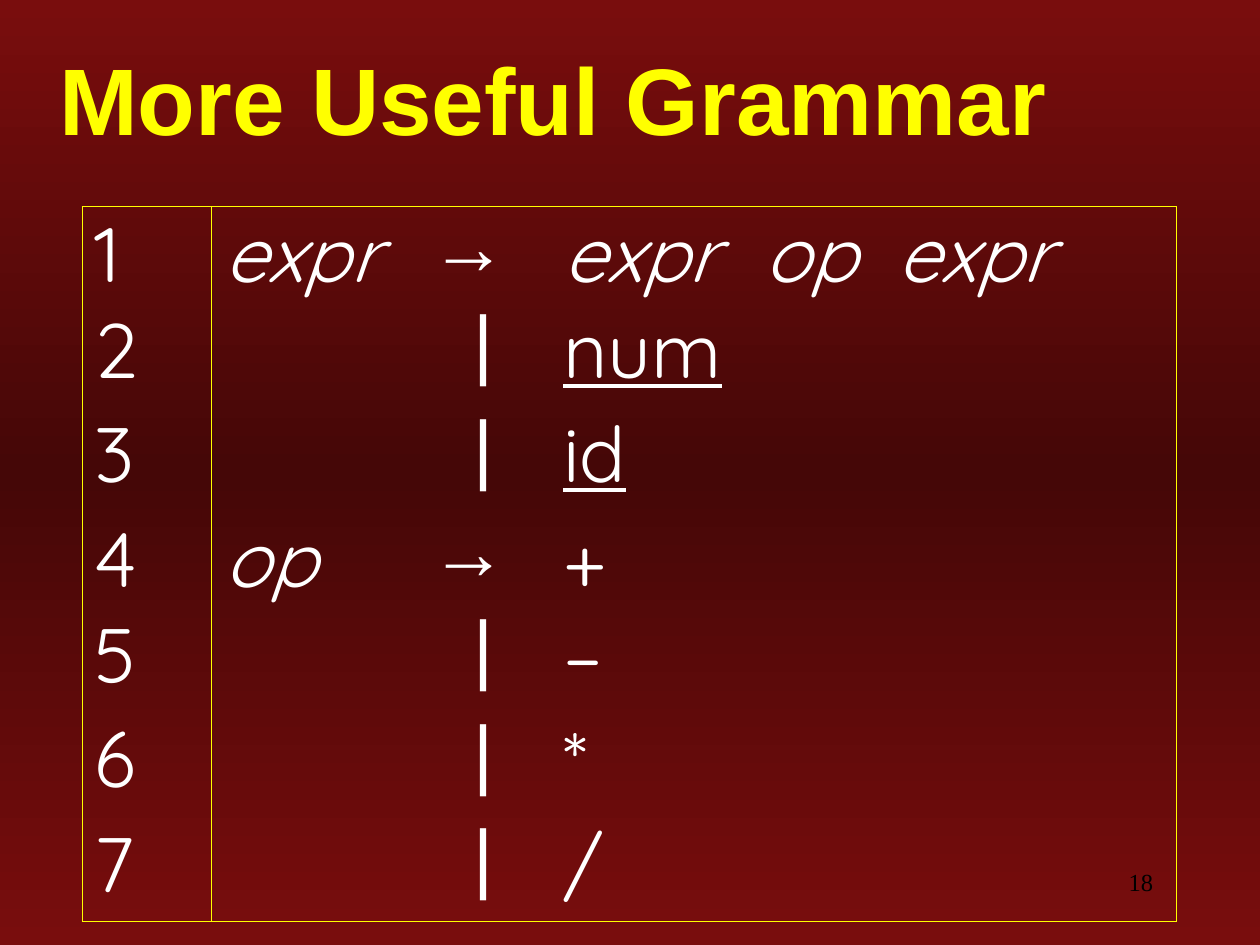
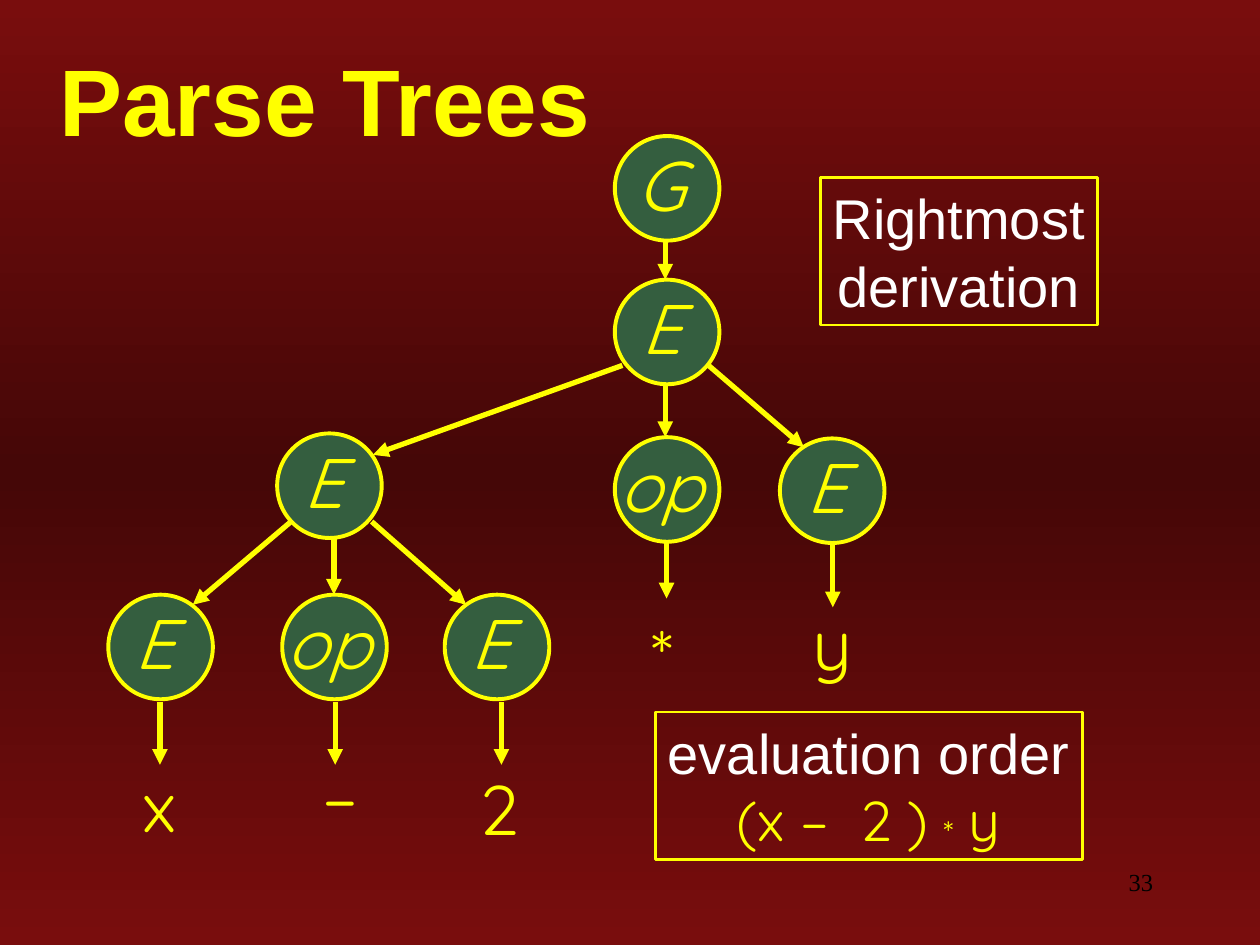
import copy

import pptx
import pptx.dml.color
import pptx.enum.shapes
import pptx.enum.text
import pptx.oxml
import pptx.oxml.ns
import pptx.util
from pptx.util import Inches

COLORS = {
    "red": "790D0D",
    "dark": "450707",
    "yellow": "FFFF00",
    "white": "FFFFFF",
    "black": "000000",
    "green": "345E3F",
    "glow": "DDDDDD",
}
ALIGN = pptx.enum.text.PP_ALIGN
ANCHOR = pptx.enum.text.MSO_ANCHOR
SHAPE = pptx.enum.shapes.MSO_SHAPE
NS = pptx.oxml.ns.nsdecls("a")
NO_STYLE = "{2D5ABB26-0587-4C30-8999-92F81FD0307C}"

TITLE = {"name": "Arial", "size": 54, "color": "yellow", "bold": True}
NUMBER = {"name": "Times New Roman", "size": 14, "color": "black"}
CELL = {"name": "Quicksand", "size": 44, "color": "white"}
SYMBOL = {**CELL, "name": "Arial"}
NODE = {"name": "Quicksand", "size": 40, "color": "yellow", "italic": True}
LEAF = {**NODE, "italic": False}
NOTE = {"name": "Arial", "size": 32, "color": "white"}
FORMULA = {"name": "Quicksand", "size": 32, "color": "yellow"}

RULES = [
    ("expr", "→", "expr\top\texpr"),
    ("", "|", "num"),
    ("", "|", "id"),
    ("op", "→", "+"),
    ("", "|", "–"),
    ("", "|", "*"),
    ("", "|", "/"),
]
COLUMN_WIDTHS = [1.03, 1.64, 1.05, 4.97]

NODE_SIZE = 0.83
NODES = [
    ("G", 4.88, 1.08),
    ("E", 4.88, 2.22),
    ("op", 4.88, 3.47),
    ("E", 6.19, 3.48),
    ("E", 2.2, 3.44),
    ("E", 0.86, 4.72),
    ("op", 2.24, 4.72),
    ("E", 3.53, 4.72),
]
LEAVES = [
    ("x", 1.03, 6),
    ("–", 2.46, 5.92),
    ("2", 3.71, 6.03),
    ("*", 5.07, 4.8),
    ("y", 6.35, 4.72),
]
BRANCHES = [
    (4.94, 2.9, 2.96, 3.61),
    (5.6, 2.88, 6.38, 3.55),
    (2.31, 4.14, 1.53, 4.8),
    (2.95, 4.14, 3.7, 4.8),
]
DROPS = [
    (5.28, 1.92, 0.3),
    (5.28, 2.97, 0.5),
    (5.29, 4.25, 0.5),
    (6.61, 4.32, 0.5),
    (2.65, 4.22, 0.5),
    (1.27, 5.57, 0.5),
    (2.66, 5.57, 0.5),
    (3.98, 5.57, 0.5),
]


def rgb(name):
    return pptx.dml.color.RGBColor.from_string(COLORS[name])


def add_run(p, text, style):
    r = p.add_run()
    r.text = text
    for key, value in style.items():
        if key == "color":
            r.font.color.rgb = rgb(value)
        elif key == "size":
            r.font.size = pptx.util.Pt(value)
        else:
            setattr(r.font, key, value)
    return r


def set_frame(tf, **values):
    for key, value in values.items():
        setattr(tf, key, value)


def set_background(prs):
    master = prs.slide_master
    fill = master.background.fill
    fill.gradient()
    fill.gradient_angle = 270
    for stop, name, position in zip(fill.gradient_stops, ("red", "dark"), (0, 0.5)):
        stop.color.rgb = rgb(name)
        stop.position = position
    gs_list = master.element.xpath(".//p:bgPr//a:gsLst")[0]
    last = copy.deepcopy(gs_list[0])
    last.set("pos", "100000")
    gs_list.append(last)


def add_textbox(slide, text, box, style, align=ALIGN.LEFT):
    sp = slide.shapes.add_textbox(*map(Inches, box))
    sp.text_frame.word_wrap = True
    p = sp.text_frame.paragraphs[0]
    p.alignment = align
    add_run(p, text, style)


def add_titled_slide(prs, title, top, number):
    slide = prs.slides.add_slide(prs.slide_layouts[5])
    sp = slide.shapes.title
    sp.left, sp.top, sp.width, sp.height = map(Inches, (0.37, top, 9.63, 0.83))
    set_frame(sp.text_frame, vertical_anchor=ANCHOR.MIDDLE, word_wrap=True,
              auto_size=pptx.enum.text.MSO_AUTO_SIZE.NONE)
    p = sp.text_frame.paragraphs[0]
    p.alignment = ALIGN.LEFT
    r = add_run(p, title, TITLE)
    shadow = pptx.oxml.parse_xml(
        f'<a:effectLst {NS}><a:outerShdw dist="17961" dir="2700000">'
        f'<a:srgbClr val="{COLORS["glow"]}"/></a:outerShdw></a:effectLst>')
    r.font.fill
    r.font.color.rgb = rgb("yellow")
    r.font._element.find(pptx.oxml.ns.qn("a:solidFill")).addnext(shadow)
    add_textbox(slide, number, (7.17, 6.83, 2.08, 0.5), NUMBER, ALIGN.RIGHT)
    return slide


def set_borders(cell, sides):
    tc_pr = cell._tc.get_or_add_tcPr()
    for i, side in enumerate("LRTB"):
        paint = (f'<a:solidFill><a:srgbClr val="{COLORS["yellow"]}"/></a:solidFill>'
                 if side in sides else "<a:noFill/>")
        tc_pr.insert(i, pptx.oxml.parse_xml(
            f'<a:ln{side} {NS} w="5715">{paint}</a:ln{side}>'))


def cell_style(col, text):
    if col == 2:
        return {**SYMBOL, "bold": text == "→"}
    return {**CELL, "italic": text.startswith(("expr", "op")),
            "underline": text in ("num", "id")}


def fill_cell(cell, col, text):
    cell.fill.background()
    if not text:
        return
    if text == "|":
        cell.margin_left = Inches(0.44)
    p = cell.text_frame.paragraphs[0]
    p.line_spacing = 0.9
    if "\t" in text:
        p._p.get_or_add_pPr().append(pptx.oxml.parse_xml(
            f"<a:tabLst {NS}>" + "".join(
                f'<a:tab pos="{Inches(stop)}" algn="l"/>' for stop in (1.6, 2.65))
            + "</a:tabLst>"))
    add_run(p, text, cell_style(col, text))


def add_grammar_table(slide):
    n_rows, n_cols = len(RULES), len(COLUMN_WIDTHS)
    frame = slide.shapes.add_table(
        n_rows, n_cols, *map(Inches, (0.65, 1.64, sum(COLUMN_WIDTHS), 5.67)))
    table = frame.table
    table.first_row = table.horz_banding = False
    table._tbl.tblPr.find(pptx.oxml.ns.qn("a:tableStyleId")).text = NO_STYLE
    for column, width in zip(table.columns, COLUMN_WIDTHS):
        column.width = Inches(width)
    for row, rule in enumerate(RULES):
        table.rows[row].height = Inches(0.76 if rule[0] else 0.83)
        for col, text in enumerate((str(row + 1), *rule)):
            cell = table.cell(row, col)
            fill_cell(cell, col, text)
            sides = ("L" if col < 2 else "") + ("R" if col in (0, n_cols - 1) else "")
            sides += ("T" if row == 0 else "") + ("B" if row == n_rows - 1 else "")
            set_borders(cell, sides)


def add_arrow(slide, x1, y1, x2, y2):
    line = slide.shapes.add_connector(
        pptx.enum.shapes.MSO_CONNECTOR.STRAIGHT, *map(Inches, (x1, y1, x2, y2)))
    line.line.color.rgb = rgb("yellow")
    line.line.width = pptx.util.Pt(3)
    line.line._get_or_add_ln().append(
        pptx.oxml.parse_xml(f'<a:tailEnd {NS} type="triangle"/>'))
    line._element.spPr.append(pptx.oxml.parse_xml(f"<a:effectLst {NS}/>"))


def add_outlined(slide, kind, box, width):
    sp = slide.shapes.add_shape(kind, *map(Inches, box))
    sp.shadow.inherit = False
    sp.line.color.rgb = rgb("yellow")
    sp.line.width = pptx.util.Pt(width)
    return sp


def add_node(slide, text, left, top):
    sp = add_outlined(slide, SHAPE.OVAL, (left, top, NODE_SIZE, NODE_SIZE), 2.25)
    sp.fill.solid()
    sp.fill.fore_color.rgb = rgb("green")
    set_frame(sp.text_frame, word_wrap=False, vertical_anchor=ANCHOR.MIDDLE,
              margin_left=0, margin_top=0,
              margin_right=Inches(0.1), margin_bottom=Inches(0.08))
    p = sp.text_frame.paragraphs[0]
    p.alignment = ALIGN.CENTER
    add_run(p, text, NODE)


def add_note(slide, box, lines):
    sp = add_outlined(slide, SHAPE.RECTANGLE, box, 1.5)
    sp.fill.background()
    tf = sp.text_frame
    set_frame(tf, word_wrap=False, vertical_anchor=ANCHOR.TOP)
    for i, runs in enumerate(lines):
        p = tf.add_paragraph() if i else tf.paragraphs[0]
        p.alignment = ALIGN.CENTER
        for text, style, extra in runs:
            r = add_run(p, text, style)
            for key, value in extra.items():
                r.font._element.set(key, value)


def add_parse_tree(slide):
    for x, y, length in DROPS:
        add_arrow(slide, x, y, x, y + length)
    for branch in BRANCHES:
        add_arrow(slide, *branch)
    for node in NODES:
        add_node(slide, *node)
    for text, left, top in LEAVES:
        add_textbox(slide, text, (left, top, 0.49, 0.77), LEAF)


def main():
    prs = pptx.Presentation()
    prs.slide_width, prs.slide_height = Inches(10), Inches(7.5)
    set_background(prs)

    slide = add_titled_slide(prs, "More Useful Grammar", 0.36, "18")
    add_grammar_table(slide)

    slide = add_titled_slide(prs, "Parse Trees", 0.37, "33")
    add_parse_tree(slide)
    add_note(slide, (6.51, 1.41, 2.2, 1.17),
             [[("Rightmost", NOTE, {})], [("derivation", NOTE, {})]])
    add_note(slide, (5.2, 5.65, 3.39, 1.17), [
        [("evaluation order", NOTE, {})],
        [("(x –", FORMULA, {}), (" ", FORMULA, {"spc": "900"}),
         ("2 ) ", FORMULA, {}), ("*", FORMULA, {"baseline": "-6000"}),
         (" y", FORMULA, {})],
    ])
    prs.save("out.pptx")


if __name__ == "__main__":
    main()
